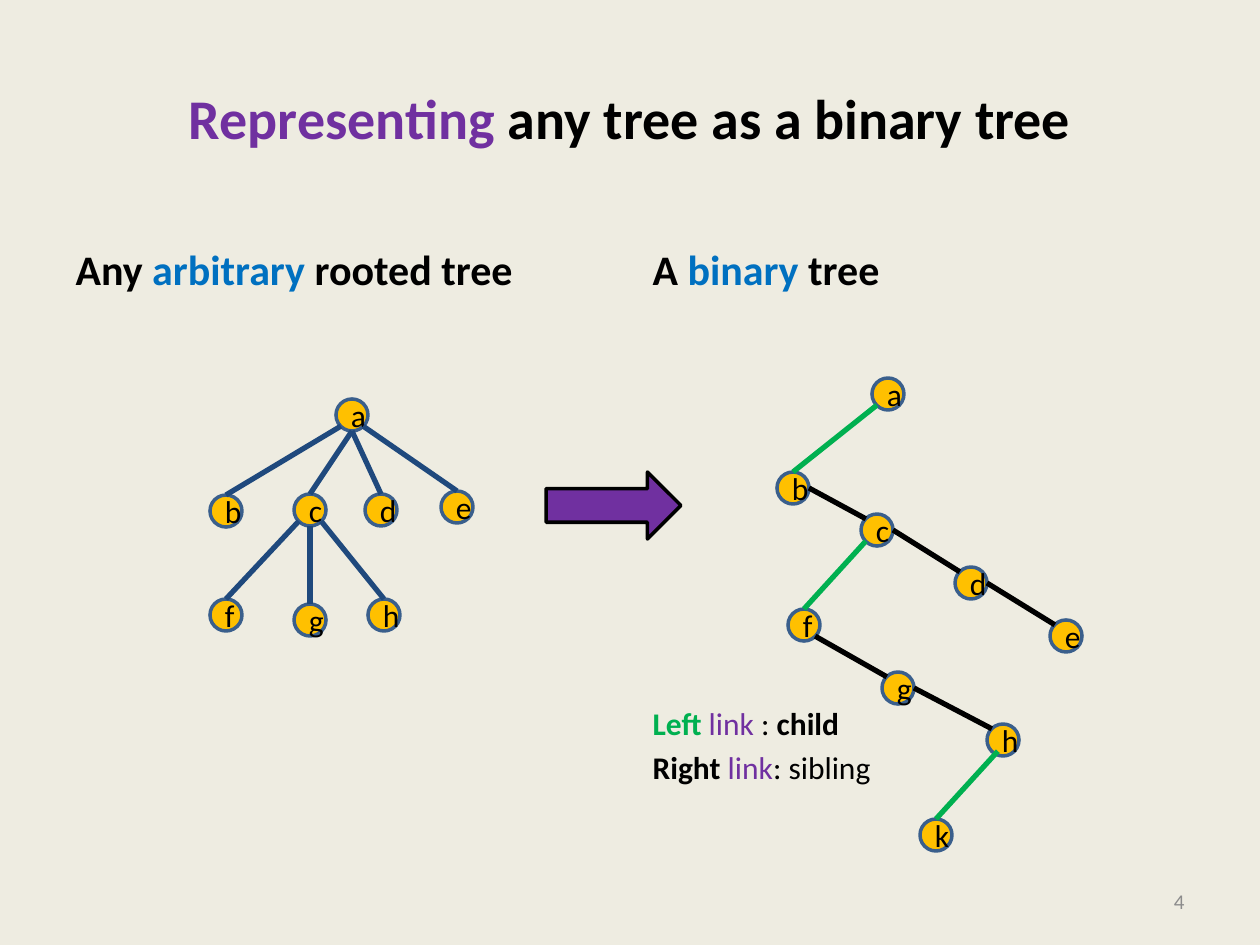
from lxml.etree import SubElement
from pptx import Presentation
from pptx.dml.color import RGBColor
from pptx.enum.shapes import MSO_CONNECTOR, MSO_SHAPE
from pptx.enum.text import MSO_ANCHOR, PP_ALIGN
from pptx.oxml.ns import qn
from pptx.util import Emu, Pt

BLACK = RGBColor(0x00, 0x00, 0x00)
PURPLE = RGBColor(0x70, 0x30, 0xA0)
BLUE = RGBColor(0x00, 0x70, 0xC0)
GREEN = RGBColor(0x00, 0xB0, 0x50)
NAVY = RGBColor(0x1F, 0x49, 0x7D)
GOLD = RGBColor(0xFF, 0xC0, 0x00)
STEEL = RGBColor(0x3A, 0x5F, 0x8C)
GREY = RGBColor(0x8C, 0x8C, 0x8C)
CREAM = RGBColor(0xEE, 0xEC, 0xE1)

FONT = "Calibri"
PX_PER_INCH = 126
NODE = 32

# A span is (text, colour, bold).
TITLE = [("Representing", PURPLE, True), (" any tree as a binary tree", BLACK, True)]
LEFT_HEADING = [("Any ", BLACK, True), ("arbitrary", BLUE, True), (" rooted tree", BLACK, True)]
RIGHT_HEADING = [("A ", BLACK, True), ("binary", BLUE, True), (" tree", BLACK, True)]
LEGEND = [
    [("Left ", GREEN, True), ("link", PURPLE, False), (" : ", BLACK, False), ("child", BLACK, True)],
    [("Right ", BLACK, True), ("link", PURPLE, False), (": sibling", BLACK, False)],
]

# Placeholder index: (left, top, width, height), text size, paragraphs
PLACEHOLDERS = {
    0: ((63, 38, 1134, 158), 32, [TITLE]),
    1: ((63, 212, 557, 88), 24, [LEFT_HEADING]),
    3: ((640, 212, 557, 88), 24, [RIGHT_HEADING]),
    4: ((640, 300, 598, 645), 18, LEGEND),
}
LEGEND_INSET = 404

# Nodes are label: (left, top); edges are (parent, site, child, site, colour).
ROOTED_NODES = {
    "a": (336, 399), "b": (210, 495), "c": (294, 494), "d": (365, 494),
    "e": (441, 491), "f": (210, 599), "g": (294, 604), "h": (368, 599),
}
ROOTED_EDGES = [
    ("a", "lower left", "b", "top", NAVY),
    ("a", "bottom", "c", "top", NAVY),
    ("a", "bottom", "d", "top", NAVY),
    ("a", "lower right", "e", "top", NAVY),
    ("c", "lower left", "f", "top", NAVY),
    ("c", "bottom", "g", "top", NAVY),
    ("c", "lower right", "h", "top", NAVY),
]
BINARY_NODES = {
    "a": (872, 378), "b": (777, 472), "c": (861, 514), "d": (955, 567),
    "e": (1050, 620), "f": (788, 609), "g": (882, 672), "h": (987, 724),
    "k": (920, 819),
}
BINARY_EDGES = [
    ("a", "lower left", "b", "top", GREEN),
    ("b", "right", "c", "upper left", BLACK),
    ("c", "right", "d", "upper left", BLACK),
    ("d", "right", "e", "upper left", BLACK),
    ("c", "lower left", "f", "top", GREEN),
    ("f", "lower right", "g", "upper left", BLACK),
    ("g", "right", "h", "upper left", BLACK),
    ("h", "inner lower left", "k", "top", GREEN),
]
# Where an edge meets a node, as shares of the node's width and height
SITES = {
    "top": (0.5, 0), "bottom": (0.5, 1), "right": (1, 0.5),
    "upper left": (0.15, 0.15), "lower left": (0.15, 0.85),
    "lower right": (0.85, 0.85), "inner lower left": (0.34, 0.85),
}


def px(*lengths):
    return [Emu(round(length * 914400 / PX_PER_INCH)) for length in lengths]


def write_spans(para, spans, size):
    for text, colour, bold in spans:
        span = para.add_run()
        span.text = text
        span.font.name = FONT
        span.font.size = Pt(size)
        span.font.bold = bold
        span.font.color.rgb = colour


def paint(shape, fill, line):
    shape.shadow.inherit = False
    shape.fill.solid()
    shape.fill.fore_color.rgb = fill
    shape.line.color.rgb = line
    shape.line.width = Pt(2)


def draw_node(shapes, label, corner):
    node = shapes.add_shape(MSO_SHAPE.OVAL, *px(*corner, NODE, NODE))
    paint(node, GOLD, STEEL)
    para = node.text_frame.paragraphs[0]
    para.alignment = PP_ALIGN.CENTER
    write_spans(para, [(label, BLACK, False)], 18)


def site_point(corner, site):
    return [start + NODE * share for start, share in zip(corner, SITES[site])]


def draw_tree(shapes, nodes, edges):
    for label, corner in nodes.items():
        draw_node(shapes, label, corner)
    for parent, parent_site, child, child_site, colour in edges:
        start = site_point(nodes[parent], parent_site)
        end = site_point(nodes[child], child_site)
        edge = shapes.add_connector(MSO_CONNECTOR.STRAIGHT, *px(*start, *end))
        edge.line.color.rgb = colour
        edge.line.width = Pt(3)
        SubElement(edge._element.spPr, qn("a:effectLst"))


def fill_placeholders(page):
    for holder in list(page.placeholders):
        index = holder.placeholder_format.idx
        if index not in PLACEHOLDERS:
            holder._element.getparent().remove(holder._element)
            continue
        place, size, paragraphs = PLACEHOLDERS[index]
        holder.left, holder.top, holder.width, holder.height = px(*place)
        frame = holder.text_frame
        for number, spans in enumerate(paragraphs):
            para = frame.add_paragraph() if number else frame.paragraphs[0]
            write_spans(para, spans, size)
            if paragraphs is LEGEND:
                properties = para._p.get_or_add_pPr()
                properties.set("marL", "0")
                properties.set("indent", "0")
                SubElement(properties, qn("a:buNone"))
        if paragraphs is LEGEND:
            frame.margin_top = px(LEGEND_INSET)[0]


def add_page_number(page):
    box = page.shapes.add_textbox(*px(903, 876, 294, 50))
    box.text_frame.word_wrap = True
    box.text_frame.vertical_anchor = MSO_ANCHOR.MIDDLE
    para = box.text_frame.paragraphs[0]
    para.alignment = PP_ALIGN.RIGHT
    write_spans(para, [("4", GREY, False)], 12)


def main():
    deck = Presentation()
    deck.slide_width, deck.slide_height = px(1260, 945)
    page = deck.slides.add_slide(deck.slide_layouts.get_by_name("Comparison"))
    page.background.fill.solid()
    page.background.fill.fore_color.rgb = CREAM

    fill_placeholders(page)
    add_page_number(page)
    draw_tree(page.shapes.add_group_shape().shapes, ROOTED_NODES, ROOTED_EDGES)
    draw_tree(page.shapes, BINARY_NODES, BINARY_EDGES)
    arrow = page.shapes.add_shape(MSO_SHAPE.RIGHT_ARROW, *px(546, 472, 135, 67))
    paint(arrow, PURPLE, BLACK)
    deck.save("out.pptx")


if __name__ == "__main__":
    main()
